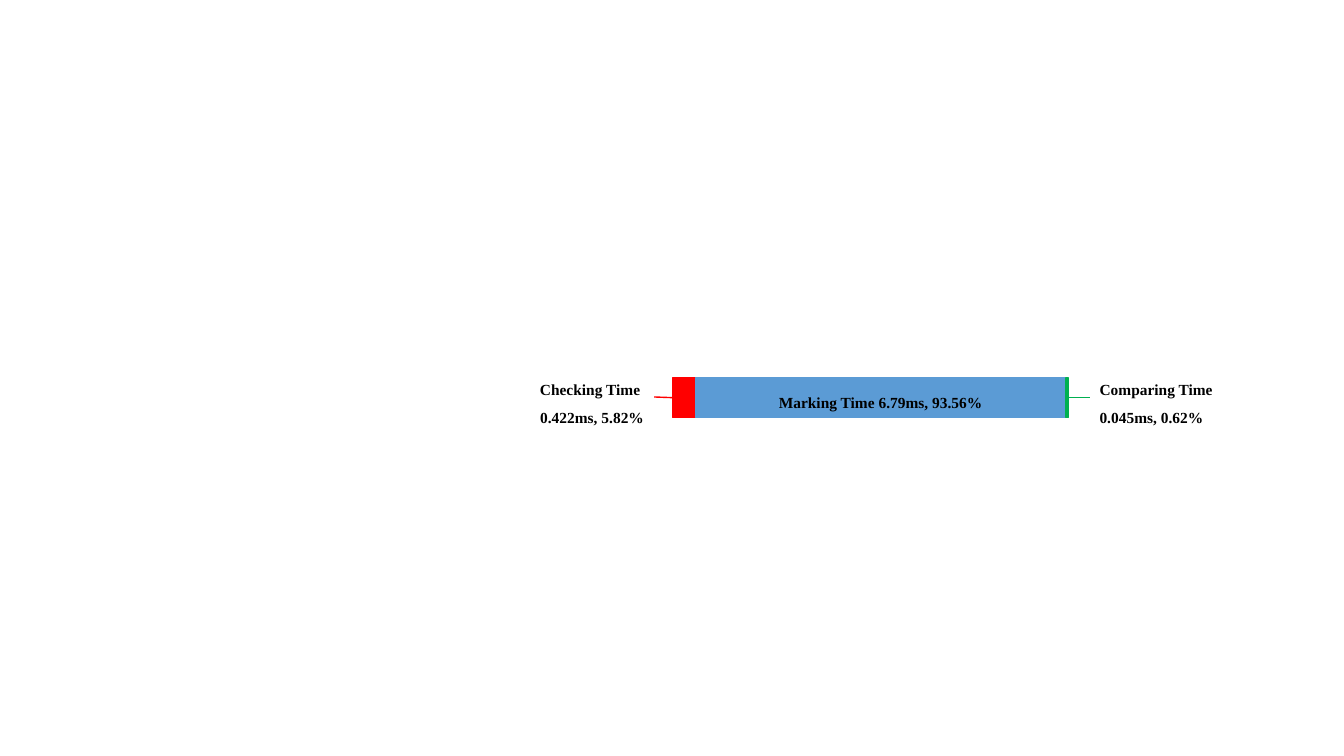
from lxml.etree import SubElement
from pptx import Presentation
from pptx.dml.color import RGBColor
from pptx.enum.shapes import MSO_CONNECTOR, MSO_SHAPE
from pptx.enum.text import MSO_ANCHOR, MSO_AUTO_SIZE, PP_ALIGN
from pptx.oxml.ns import qn
from pptx.util import Pt

# Content: name, share of the total time in percent, colour
SEGMENTS = [
    ("checking", 5.82, "red"),
    ("marking", 93.56, "blue"),
    ("comparing", 0.62, "green"),
]
MARKING_LABEL = ["Marking Time 6.79ms, 93.56%"]
CHECKING_LABEL = ["Checking Time", " 0.422ms, 5.82% "]
COMPARING_LABEL = ["Comparing Time ", "0.045ms, 0.62% "]
COLOURS = {"red": "FF0000", "blue": "5B9BD5", "green": "00B050", "text": "000000"}
FONT = "Times New Roman"

# Layout in points
BAR_LEFT, BAR_TOP, BAR_WIDTH, BAR_HEIGHT = 480.2, 270, 283, 28.1
BAR_RIGHT = BAR_LEFT + BAR_WIDTH
BAR_MIDDLE = BAR_TOP + BAR_HEIGHT / 2
LABEL_TOP, LABEL_HEIGHT = 261.4, 45
CHECKING_LEFT, CHECKING_WIDTH = 375.8, 91.5
COMPARING_LEFT, COMPARING_WIDTH = 778.3, 98


def colour(name):
    return RGBColor.from_string(COLOURS[name])


def write(frame, lines, align):
    frame.word_wrap = True
    for index, line in enumerate(lines):
        para = frame.paragraphs[0] if index == 0 else frame.add_paragraph()
        para.alignment = align
        para.line_spacing = 1.5
        span = para.add_run()
        span.text = line
        span.font.name = FONT
        span.font.size = Pt(11)
        span.font.bold = True
        span.font.color.rgb = colour("text")


def add_segment(page, left, width, fill):
    box = page.shapes.add_shape(
        MSO_SHAPE.RECTANGLE, Pt(left), Pt(BAR_TOP), Pt(width), Pt(BAR_HEIGHT))
    box.shadow.inherit = False
    box.fill.solid()
    box.fill.fore_color.rgb = colour(fill)
    box.line.color.rgb = colour(fill)
    box.line.width = Pt(1)
    return box


def add_label(page, left, width, lines, align):
    box = page.shapes.add_textbox(Pt(left), Pt(LABEL_TOP), Pt(width), Pt(LABEL_HEIGHT))
    write(box.text_frame, lines, align)
    box.text_frame.auto_size = MSO_AUTO_SIZE.SHAPE_TO_FIT_TEXT


def add_leader(page, start, end, end_rise, stroke):
    leader = page.shapes.add_connector(
        MSO_CONNECTOR.STRAIGHT, Pt(start), Pt(BAR_MIDDLE), Pt(end), Pt(BAR_MIDDLE - end_rise))
    leader.line.color.rgb = colour(stroke)
    leader.line.width = Pt(1)
    SubElement(leader._element.spPr, qn("a:effectLst"))


deck = Presentation()
deck.slide_width, deck.slide_height = Pt(960), Pt(540)
page = deck.slides.add_slide(deck.slide_layouts[6])

# Bar: segment widths follow the shares
boxes = {}
left = BAR_LEFT
for name, share, fill in SEGMENTS:
    width = BAR_WIDTH * share / 100
    boxes[name] = add_segment(page, left, width, fill)
    left += width
marking_frame = boxes["marking"].text_frame
marking_frame.vertical_anchor = MSO_ANCHOR.MIDDLE
write(marking_frame, MARKING_LABEL, PP_ALIGN.CENTER)

# Side labels and their leader lines
add_label(page, CHECKING_LEFT, CHECKING_WIDTH, CHECKING_LABEL, PP_ALIGN.CENTER)
add_leader(page, BAR_LEFT, CHECKING_LEFT + CHECKING_WIDTH, 0.5, "red")
add_label(page, COMPARING_LEFT, COMPARING_WIDTH, COMPARING_LABEL, PP_ALIGN.LEFT)
add_leader(page, BAR_RIGHT, COMPARING_LEFT, 0, "green")

deck.save("out.pptx")
